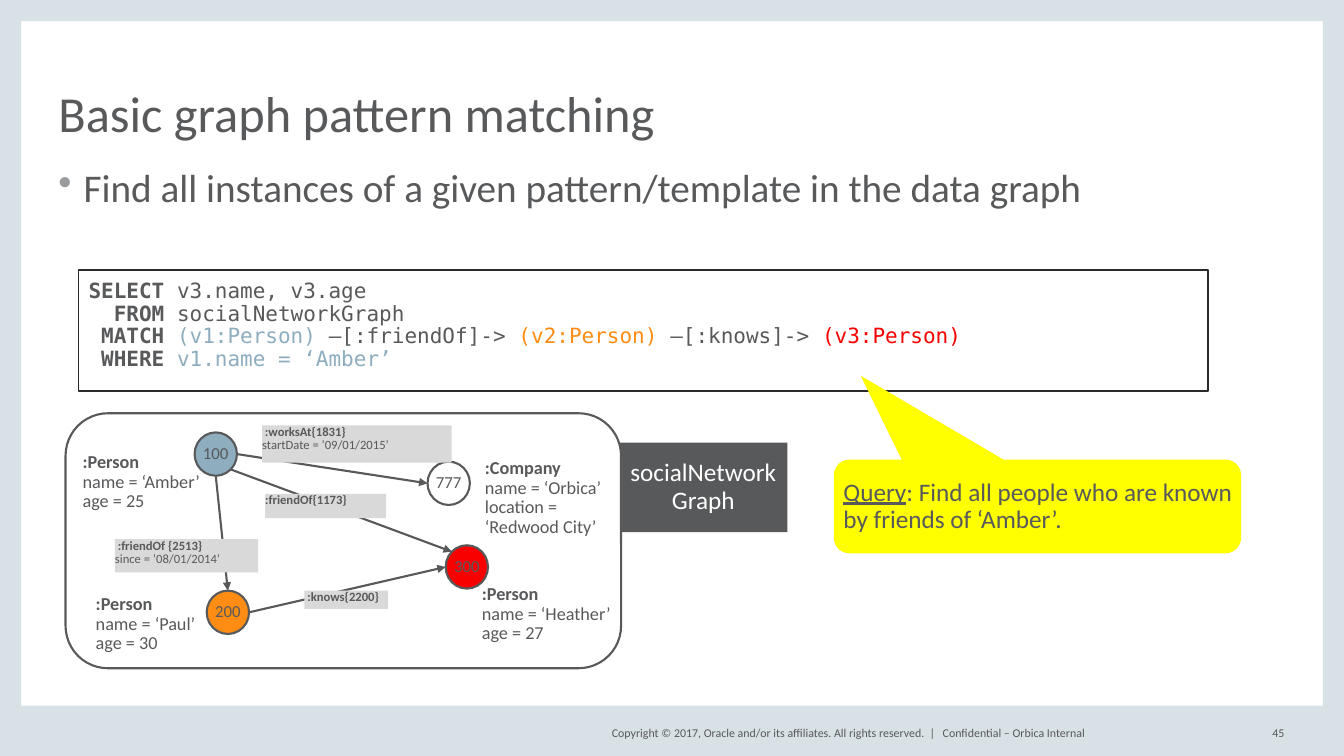
from math import cos, radians, sin
from lxml import etree
from pptx import Presentation
from pptx.dml.color import RGBColor
from pptx.enum import shapes, text
from pptx.oxml import ns
from pptx.util import Inches, Pt

HUES = {
    "frame": "D8E1E6", "ink": "58595B", "white": "FFFFFF", "edge": "2A2A2A",
    "blue": "8EADBF", "orange": "FF8D14", "red": "F80000",
    "yellow": "FFFF00", "tag": "D9D9D9", "bullet": "9A9B9D",
}
RGB = {name: RGBColor.from_string(code) for name, code in HUES.items()}
KIND = shapes.MSO_SHAPE
MID = text.MSO_ANCHOR.MIDDLE
LEFT, CENTER, RIGHT = text.PP_ALIGN.LEFT, text.PP_ALIGN.CENTER, text.PP_ALIGN.RIGHT


def block(home, kind, at, fill=None, line=None, width=1.5):
    spot = [Inches(n) for n in at]
    if kind is None:
        return home.add_textbox(*spot)
    shape = home.add_shape(kind, *spot)
    shape.shadow.inherit = False
    if fill:
        shape.fill.solid()
        shape.fill.fore_color.rgb = RGB[fill]
    else:
        shape.fill.background()
    if line:
        shape.line.color.rgb = RGB[line]
        shape.line.width = Pt(width)
    else:
        shape.line.fill.background()
    return shape


def write(shape, lines, size, align=LEFT, anchor=text.MSO_ANCHOR.TOP,
          inset=(0, 0, 0, 0), wrap=True, space=0.9, font="Calibri"):
    frame = shape.text_frame
    frame.word_wrap = wrap
    frame.auto_size = text.MSO_AUTO_SIZE.NONE
    frame.vertical_anchor = anchor
    (frame.margin_left, frame.margin_top,
     frame.margin_right, frame.margin_bottom) = [Inches(n) for n in inset]
    for i, line in enumerate(lines):
        para = frame.add_paragraph() if i else frame.paragraphs[0]
        para.alignment = align
        para.line_spacing = space
        for words, hue, style in line:
            run = para.add_run()
            run.text = words
            run.font.name = font
            run.font.size = Pt(size)
            run.font.color.rgb = RGB[hue]
            run.font.bold = style == "b"
            run.font.underline = style == "u"


deck = Presentation()
deck.slide_width, deck.slide_height = Inches(13.33), Inches(7.5)
slide = deck.slides.add_slide(deck.slide_layouts[5])
tree = slide.shapes

border = tree.add_group_shape().shapes
for at in [(0, 0, 0.21, 7.5), (13.12, 0, 0.21, 7.5),
           (0, 7, 13.33, 0.5), (0, 0, 13.33, 0.21)]:
    block(border, KIND.RECTANGLE, at, "frame")

title = tree.title
title.left, title.top = Inches(0.58), Inches(0.44)
title.width, title.height = Inches(12.17), Inches(0.97)
write(title, [[("Basic graph pattern matching", "ink", "")]], 36,
      anchor=text.MSO_ANCHOR.BOTTOM, space=0.8)

point = block(tree, None, (0.58, 1.67, 12.17, 0.97))
props = point.text_frame.paragraphs[0]._p.get_or_add_pPr()
props.set("marL", str(Inches(0.25)))
props.set("indent", str(-Inches(0.25)))
tint = etree.SubElement(props, ns.qn("a:buClr"))
etree.SubElement(tint, ns.qn("a:srgbClr")).set("val", HUES["bullet"])
etree.SubElement(props, ns.qn("a:buChar")).set("char", "•")
write(point, [[("Find all instances of a given pattern/template in the data graph",
                "ink", "")]], 28)

code = block(tree, KIND.RECTANGLE, (0.78, 2.68, 11.2, 1.2), None, "edge", 1)
write(code, [
    [("SELECT ", "ink", "b"), ("v3.name, v3.age", "ink", "")],
    [("  FROM ", "ink", "b"), ("socialNetworkGraph", "ink", "")],
    [(" MATCH ", "ink", "b"), ("(v1:Person) ", "blue", ""),
     ("–[:friendOf]-> ", "ink", ""), ("(v2:Person) ", "orange", ""),
     ("–[:knows]-> ", "ink", ""), ("(v3:Person)", "red", "")],
    [(" WHERE ", "ink", "b"), ("v1.name = ‘Amber’", "blue", "")],
], 15, inset=(0.1, 0.1, 0.1, 0.1), font="DejaVu Sans Mono")

query = block(tree, KIND.ROUNDED_RECTANGULAR_CALLOUT, (8.27, 4.56, 4.04, 0.93), "yellow")
for i, value in enumerate((-0.434, -1.395, 0.167)):
    query.adjustments[i] = value
write(query, [[("Query", "ink", "u"),
               (": Find all people who are known by friends of ‘Amber’.", "ink", "")]],
      18, anchor=MID, inset=(0.05, 0, 0, 0))

name = block(tree, KIND.RECTANGLE, (6.14, 4.39, 1.67, 0.89), "ink")
write(name, [[("socialNetwork", "white", "")], [("Graph", "white", "")]], 18,
      CENTER, MID, (0.1, 0.05, 0.1, 0.05))

graph = tree.add_group_shape().shapes
block(graph, KIND.ROUNDED_RECTANGLE, (0.65, 4.1, 5.51, 2.53), "white", "ink")

wide, high = 0.42, 0.43
nodes = {
    "100": (1.93, 4.29, "blue", 0.82, 4.49, [":Person", "name = ‘Amber’", "age = 25"]),
    "200": (2.05, 5.86, "orange", 0.95, 5.9, [":Person", "name = ‘Paul’", "age = 30"]),
    "300": (4.42, 5.41, "red", 4.78, 5.8, [":Person", "name = ‘Heather’", "age = 27"]),
    "777": (4.24, 4.58, "white", 4.81, 4.55,
            [":Company", "name = ‘Orbica’", "location =", "‘Redwood City’"]),
}
for key, (x, y, fill, left, top, facts) in nodes.items():
    disc = block(graph, KIND.OVAL, (x, y, wide, high), fill, "ink")
    write(disc, [[(key, "ink", "")]], 12, CENTER, MID)
    label = block(graph, None, (left, top, 1.06, 0.4))
    write(label, [[(fact, "ink", "" if i else "b")] for i, fact in enumerate(facts)],
          13, wrap=False)

edges = [("100", 0, "777", 180), ("100", 45, "300", 225),
         ("100", 90, "200", 270), ("200", 0, "300", 180)]
for start, out, end, into in edges:
    ends = []
    for key, turn in ((start, out), (end, into)):
        x, y = nodes[key][:2]
        ends += [Inches(x + wide / 2 * (1 + cos(radians(turn)))),
                 Inches(y + high / 2 * (1 + sin(radians(turn))))]
    arrow = graph.add_connector(shapes.MSO_CONNECTOR.STRAIGHT, *ends)
    arrow.line.color.rgb = RGB["ink"]
    arrow.line.width = Pt(1.5)
    etree.SubElement(arrow.line._get_or_add_ln(), ns.qn("a:tailEnd")).set("type", "triangle")
    etree.SubElement(arrow._element.spPr, ns.qn("a:effectLst"))

tags = [
    ((2.6, 4.22, 1.88, 0.37), [" :worksAt{1831}", "startDate = ’09/01/2015’"]),
    ((2.63, 4.9, 1.2, 0.24), [":friendOf{1173}"]),
    ((3.02, 5.86, 0.83, 0.18), [" :knows{2200}"]),
    ((1.14, 5.35, 1.42, 0.33), [" :friendOf {2513}", "since = ’08/01/2014’"]),
]
for at, facts in tags:
    tag = block(graph, KIND.RECTANGLE, at, "tag")
    write(tag, [[(fact, "ink", "" if i else "b")] for i, fact in enumerate(facts)], 9)

notes = [
    ((5.78, 7.17, 3.5, 0.2), RIGHT,
     "Copyright © 2017, Oracle and/or its affiliates. All rights reserved.  |"),
    ((9.35, 7.17, 3, 0.2), LEFT, "Confidential – Orbica Internal"),
    ((12.38, 7.17, 0.36, 0.2), RIGHT, "45"),
]
for at, align, words in notes:
    write(block(tree, None, at), [[(words, "ink", "")]], 8.5, align, MID, space=1.0)

deck.save("out.pptx")
